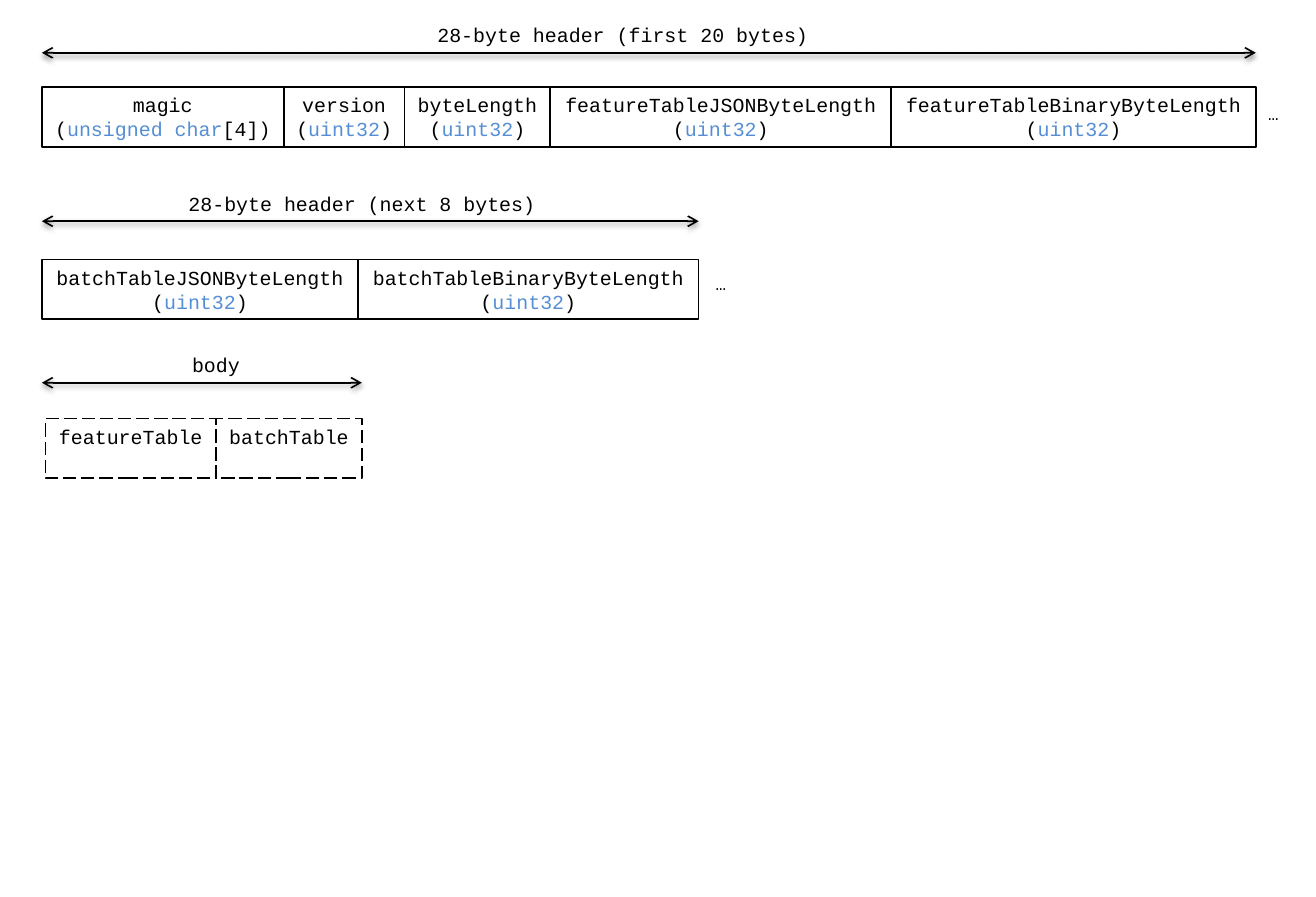
import pptx
import pptx.dml.color
import pptx.enum.dml
import pptx.enum.shapes
import pptx.enum.text
import pptx.oxml
import pptx.oxml.ns
import pptx.util

Pt = pptx.util.Pt
BLACK, TYPE_BLUE = "000000", "558ED5"
LEFT, CELL_HEIGHT = 25.2, 36
UINT32 = ("(", "uint32", ")")


def color(hex_string):
    return pptx.dml.color.RGBColor.from_string(hex_string)


def write_text(shape, lines, size=12, font="Courier New"):
    """Each line is a list of (text, colour) runs."""
    frame = shape.text_frame
    frame.word_wrap = False
    frame.vertical_anchor = pptx.enum.text.MSO_ANCHOR.TOP
    for index, runs in enumerate(lines):
        paragraph = frame.add_paragraph() if index else frame.paragraphs[0]
        paragraph.alignment = pptx.enum.text.PP_ALIGN.CENTER
        for text, hex_string in runs:
            run = paragraph.add_run()
            run.text = text
            run.font.name = font
            run.font.size = Pt(size)
            run.font.color.rgb = color(hex_string)


def add_label(slide, text, left, top, width, height=21.8, size=12):
    label = slide.shapes.add_textbox(Pt(left), Pt(top), Pt(width), Pt(height))
    write_text(label, [[(text, BLACK)]], size=size)


def add_field(slide, name, data_type, left, top, width, dashed):
    field = slide.shapes.add_shape(pptx.enum.shapes.MSO_SHAPE.RECTANGLE,
                                   Pt(left), Pt(top), Pt(width), Pt(CELL_HEIGHT))
    field.shadow.inherit = False
    field.fill.background()
    field.line.color.rgb = color(BLACK)
    field.line.width = Pt(1)
    if dashed:
        field.line.dash_style = pptx.enum.dml.MSO_LINE.LONG_DASH
    lines = [[(name, BLACK)]]
    if data_type:
        lines.append(list(zip(data_type, (BLACK, TYPE_BLUE, BLACK))))
    write_text(field, lines)


def add_fields(slide, left, top, fields, dashed=False):
    """Place fields side by side and return the right edge."""
    for name, data_type, width in fields:
        add_field(slide, name, data_type, left, top, width, dashed)
        left += width
    return left


def add_span_arrow(slide, right, y):
    arrow = slide.shapes.add_connector(pptx.enum.shapes.MSO_CONNECTOR.STRAIGHT,
                                       Pt(LEFT), Pt(y), Pt(right), Pt(y))
    arrow.line.color.rgb = color(BLACK)
    arrow.line.width = Pt(1)
    outline = arrow.line._get_or_add_ln()
    for end in ("a:headEnd", "a:tailEnd"):
        outline.append(pptx.oxml.parse_xml(
            f'<{end} {pptx.oxml.ns.nsdecls("a")} type="arrow"/>'))
    # Soft shadow straight below the line
    arrow._element.spPr.append(pptx.oxml.parse_xml(
        f'<a:effectLst {pptx.oxml.ns.nsdecls("a")}>'
        f'<a:outerShdw blurRad="{Pt(3.1)}" dist="{Pt(1.6)}" dir="5400000" rotWithShape="0">'
        f'<a:srgbClr val="{BLACK}"><a:alpha val="38000"/></a:srgbClr>'
        '</a:outerShdw></a:effectLst>'))


def main():
    deck = pptx.Presentation()
    deck.slide_width, deck.slide_height = Pt(792), Pt(540)
    slide = deck.slides.add_slide(deck.slide_layouts[6])

    # Header, first 20 bytes
    right = add_fields(slide, LEFT, 52.5, [
        ("magic", ("(", "unsigned char", "[4])"), 145.6),
        ("version", UINT32, 72.6),
        ("byteLength", UINT32, 87.8),
        ("featureTableJSONByteLength", UINT32, 205.2),
        ("featureTableBinaryByteLength", UINT32, 219.4),
    ])
    add_span_arrow(slide, right, 31.8)
    add_label(slide, "28-byte header (first 20 bytes)", 254.2, 10.2, 241.2)
    add_label(slide, "…", right, 58.3, 20.9, height=28, size=10.5)

    # Header, next 8 bytes
    right = add_fields(slide, LEFT, 156.2, [
        ("batchTableJSONByteLength", UINT32, 190.3),
        ("batchTableBinaryByteLength", UINT32, 205),
    ])
    add_span_arrow(slide, right, 133.2)
    add_label(slide, "28-byte header (next 8 bytes)", 104.4, 111.6, 226.8)
    add_label(slide, "…", right + 2.9, 160.6, 20.9, height=28, size=10.5)

    # Body
    right = add_fields(slide, 27.4, 252, [
        ("featureTable", None, 102.6),
        ("batchTable", None, 87.8),
    ], dashed=True)
    add_span_arrow(slide, right, 230.4)
    add_label(slide, "body", 108, 208.8, 43.9)

    deck.save("out.pptx")


if __name__ == "__main__":
    main()
